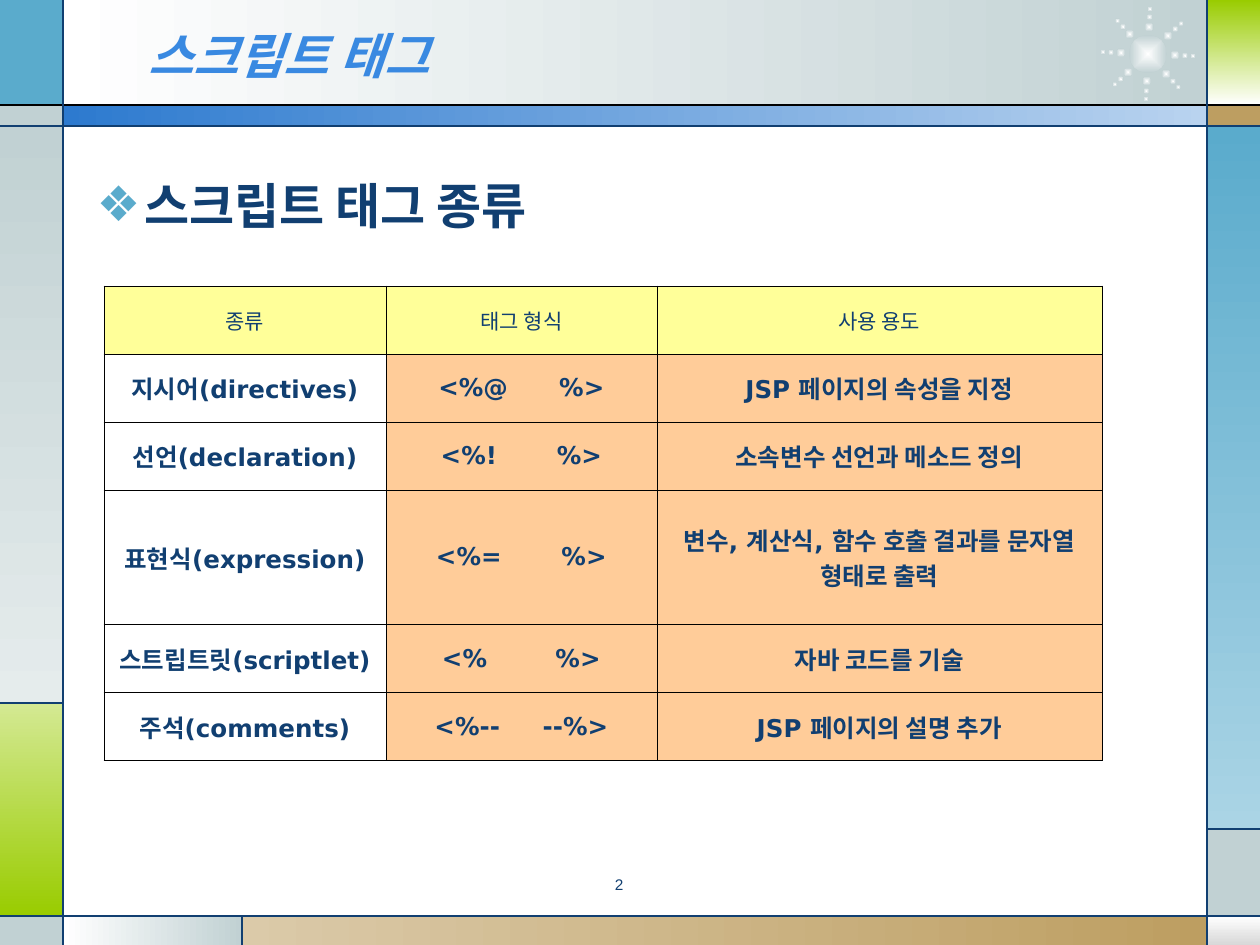
from math import cos, radians, sin

from lxml.etree import SubElement
from pptx import Presentation
from pptx.dml.color import RGBColor
from pptx.enum.shapes import MSO_CONNECTOR, MSO_SHAPE
from pptx.enum.text import MSO_ANCHOR, MSO_AUTO_SIZE, PP_ALIGN
from pptx.oxml.ns import qn
from pptx.util import Emu, Pt

PX = 914400 // 126
WIDTH, HEIGHT = 1260, 945
KOREAN, LATIN = "Noto Sans CJK KR", "DejaVu Sans"

WHITE = RGBColor(0xFF, 0xFF, 0xFF)
BLACK = RGBColor(0x00, 0x00, 0x00)
NAVY = RGBColor(0x11, 0x3F, 0x71)
TITLE_BLUE = RGBColor(0x39, 0x89, 0xE1)
STRIP_BLUE = RGBColor(0x2D, 0x7A, 0xCF)
STRIP_PALE = RGBColor(0xB9, 0xD3, 0xEF)
SKY = RGBColor(0x5A, 0xAB, 0xCC)
SKY_PALE = RGBColor(0xAA, 0xD4, 0xE5)
MIST = RGBColor(0xC1, 0xD1, 0xD3)
MIST_PALE = RGBColor(0xE5, 0xEC, 0xEC)
GREEN = RGBColor(0x99, 0xCC, 0x00)
GREEN_PALE = RGBColor(0xD4, 0xE9, 0x93)
TAN = RGBColor(0xBD, 0x9E, 0x61)
TAN_PALE = RGBColor(0xDB, 0xCA, 0xA9)
SILVER = RGBColor(0xD8, 0xD8, 0xD8)
YELLOW = RGBColor(0xFF, 0xFF, 0x99)
PEACH = RGBColor(0xFF, 0xCC, 0x99)

# Content
TITLE = "스크립트 태그"
HEADING = "스크립트 태그 종류"
PAGE_NUMBER = "2"
TAG_ROWS = [
    ("종류", "태그 형식", "사용 용도"),
    ("지시어(directives)", "<%@      %>", "JSP 페이지의 속성을 지정"),
    ("선언(declaration)", "<%!       %>", "소속변수 선언과 메소드 정의"),
    ("표현식(expression)", "<%=       %>", "변수, 계산식, 함수 호출 결과를 문자열 형태로 출력"),
    ("스트립트릿(scriptlet)", "<%        %>", "자바 코드를 기술"),
    ("주석(comments)", "<%--     --%>", "JSP 페이지의 설명 추가"),
]
COLUMN_WIDTHS = [282, 271, 445]
ROW_HEIGHTS = [68, 68, 68, 135, 68, 68]

# Frame grid: column and row edges shared by the panels and the rules
LEFT, RIGHT = 63, 1207
HEADER, STRIP, FOOTER = 105, 126, 916
LEFT_SPLIT, RIGHT_SPLIT, FOOTER_SPLIT = 703, 829, 242
ACROSS, DOWN = 0, 270

# left, top, right, bottom, colours, gradient angle
PANELS = [
    (LEFT, 0, RIGHT, HEADER, (WHITE, MIST), ACROSS),
    (0, 0, LEFT, HEADER, (SKY,), None),
    (0, HEADER, LEFT, STRIP, (MIST,), None),
    (0, STRIP, LEFT, LEFT_SPLIT, (MIST, MIST_PALE), DOWN),
    (0, LEFT_SPLIT, LEFT, FOOTER, (GREEN_PALE, GREEN), DOWN),
    (0, FOOTER, LEFT, HEIGHT, (MIST,), None),
    (LEFT, FOOTER, FOOTER_SPLIT, HEIGHT, (WHITE, MIST), ACROSS),
    (FOOTER_SPLIT, FOOTER, RIGHT, HEIGHT, (TAN_PALE, TAN), ACROSS),
    (RIGHT, FOOTER, WIDTH, HEIGHT, (WHITE, SILVER), DOWN),
    (RIGHT, RIGHT_SPLIT, WIDTH, FOOTER, (MIST,), None),
    (RIGHT, STRIP, WIDTH, RIGHT_SPLIT, (SKY, SKY_PALE), DOWN),
    (RIGHT, HEADER, WIDTH, STRIP, (TAN,), None),
    (RIGHT, 0, WIDTH, HEADER, (GREEN, WHITE), DOWN),
    (LEFT, HEADER, RIGHT, STRIP, (STRIP_BLUE, STRIP_PALE), ACROSS),
]
RULES = [
    (0, HEADER, WIDTH, HEADER, BLACK),
    (0, STRIP, WIDTH, STRIP, NAVY),
    (0, FOOTER, WIDTH, FOOTER, NAVY),
    (LEFT, 0, LEFT, HEIGHT, NAVY),
    (RIGHT, 0, RIGHT, HEIGHT, NAVY),
    (LEFT, LEFT_SPLIT, 0, LEFT_SPLIT, NAVY),
    (FOOTER_SPLIT, FOOTER, FOOTER_SPLIT, HEIGHT, NAVY),
    (RIGHT, RIGHT_SPLIT, WIDTH, RIGHT_SPLIT, NAVY),
]

# Sunburst: a core and eight rays of shrinking dots (distance, diameter)
BURST_CENTRE = (1148, 54)
BURST_CORE = 38
RAY_DOTS = [(27, 9), (37, 6), (45, 5)]
RAYS, BURST_TILT = 8, 2.5


def px(*lengths):
    return [Emu(round(length * PX)) for length in lengths]


def add_filled(slide, preset, box, colours, angle):
    shape = slide.shapes.add_shape(preset, *px(*box))
    shape.shadow.inherit = False
    shape.line.fill.background()
    if len(colours) == 1:
        shape.fill.solid()
        shape.fill.fore_color.rgb = colours[0]
    else:
        shape.fill.gradient()
        shape.fill.gradient_angle = angle
        for stop, colour in zip(shape.fill.gradient_stops, colours):
            stop.color.rgb = colour
    return shape


def add_glow(slide, x, y, size):
    box = (x - size / 2, y - size / 2, size, size)
    glow = add_filled(slide, MSO_SHAPE.OVAL, box, (WHITE, MIST), ACROSS)
    linear = glow._element.spPr.find(qn("a:gradFill")).find(qn("a:lin"))
    gradient = linear.getparent()
    radial = SubElement(gradient, qn("a:path"), path="rect")
    SubElement(radial, qn("a:fillToRect"), {side: "50000" for side in "ltrb"})
    gradient.replace(linear, radial)


def add_rule(slide, x1, y1, x2, y2, colour):
    rule = slide.shapes.add_connector(MSO_CONNECTOR.STRAIGHT, *px(x1, y1, x2, y2))
    rule.line.color.rgb = colour
    rule.line.width = Pt(0.75)
    SubElement(rule._element.spPr, qn("a:effectLst"))


def style(paragraph, size, colour, latin, bold=False, italic=False):
    font = paragraph.font
    font.size, font.bold, font.italic, font.name = Pt(size), bold, italic, latin
    font.color.rgb = colour
    SubElement(font._element, qn("a:ea"), typeface=KOREAN)


def place(shape, *box):
    shape.left, shape.top, shape.width, shape.height = px(*box)
    shape.text_frame.auto_size = MSO_AUTO_SIZE.NONE
    shape.text_frame.word_wrap = True


def add_borders(cell):
    properties = cell._tc.get_or_add_tcPr()
    for side in ("lnL", "lnR", "lnT", "lnB"):
        border = SubElement(properties, qn(f"a:{side}"), w=str(Pt(0.45)))
        fill = SubElement(border, qn("a:solidFill"))
        SubElement(fill, qn("a:srgbClr"), val=str(BLACK))


def fill_cell(cell, text, row, column):
    cell.text = text
    cell.vertical_anchor = MSO_ANCHOR.MIDDLE
    cell.margin_left, cell.margin_right, cell.margin_top, cell.margin_bottom = px(9, 9, 6, 6)
    add_borders(cell)
    if row and not column:
        cell.fill.background()
    else:
        cell.fill.solid()
        cell.fill.fore_color.rgb = PEACH if row else YELLOW
    paragraph = cell.text_frame.paragraphs[0]
    paragraph.alignment = PP_ALIGN.CENTER
    style(paragraph, 14 if row else 12, NAVY, LATIN, bold=row > 0)


def main():
    deck = Presentation()
    deck.slide_width, deck.slide_height = px(WIDTH, HEIGHT)
    slide = deck.slides.add_slide(deck.slide_layouts[1])

    # Frame
    for left, top, right, bottom, colours, angle in PANELS:
        box = (left, top, right - left, bottom - top)
        add_filled(slide, MSO_SHAPE.RECTANGLE, box, colours, angle)
    centre_x, centre_y = BURST_CENTRE
    add_glow(slide, centre_x, centre_y, BURST_CORE)
    for ray in range(RAYS):
        turn = radians(BURST_TILT + 360 / RAYS * ray)
        for distance, size in RAY_DOTS:
            add_glow(slide, centre_x + distance * cos(turn), centre_y + distance * sin(turn), size)
    for rule in RULES:
        add_rule(slide, *rule)

    # Title and heading, brought in front of the frame
    title, body = slide.shapes.title, slide.placeholders[1]
    for placeholder in (title, body):
        slide.shapes._spTree.append(placeholder._element)
    place(title, 136, 16, 924, 78)
    title.text_frame.text = TITLE
    title.text_frame.vertical_anchor = MSO_ANCHOR.MIDDLE
    title_line = title.text_frame.paragraphs[0]
    title_line.alignment = PP_ALIGN.LEFT
    style(title_line, 28, TITLE_BLUE, KOREAN, bold=True, italic=True)

    place(body, 84, 169, 1105, 678)
    body.text_frame.text = HEADING
    heading = body.text_frame.paragraphs[0]
    heading.space_before = Pt(0)
    indent = px(48)[0]
    layout = heading._p.get_or_add_pPr()
    layout.set("marL", str(indent))
    layout.set("indent", str(-indent))
    bullet_colour = SubElement(layout, qn("a:buClr"))
    SubElement(bullet_colour, qn("a:srgbClr"), val=str(SKY))
    SubElement(layout, qn("a:buChar"), char="❖")
    style(heading, 28, NAVY, KOREAN, bold=True)

    # Table of tags
    table_box = px(104, 286, sum(COLUMN_WIDTHS), sum(ROW_HEIGHTS))
    tags = slide.shapes.add_table(len(TAG_ROWS), len(COLUMN_WIDTHS), *table_box).table
    tags.first_row = tags.horz_banding = False
    for column, width in zip(tags.columns, px(*COLUMN_WIDTHS)):
        column.width = width
    for row, height in zip(tags.rows, px(*ROW_HEIGHTS)):
        row.height = height
    for row, texts in enumerate(TAG_ROWS):
        for column, text in enumerate(texts):
            fill_cell(tags.cell(row, column), text, row, column)

    # Page number
    page = slide.shapes.add_textbox(*px(472, 873, 294, 34))
    page.text_frame.word_wrap = True
    page.text_frame.text = PAGE_NUMBER
    number = page.text_frame.paragraphs[0]
    number.alignment = PP_ALIGN.CENTER
    number.line_spacing = 0.8
    style(number, 8.8, NAVY, "Arial")

    deck.save("out.pptx")


if __name__ == "__main__":
    main()
